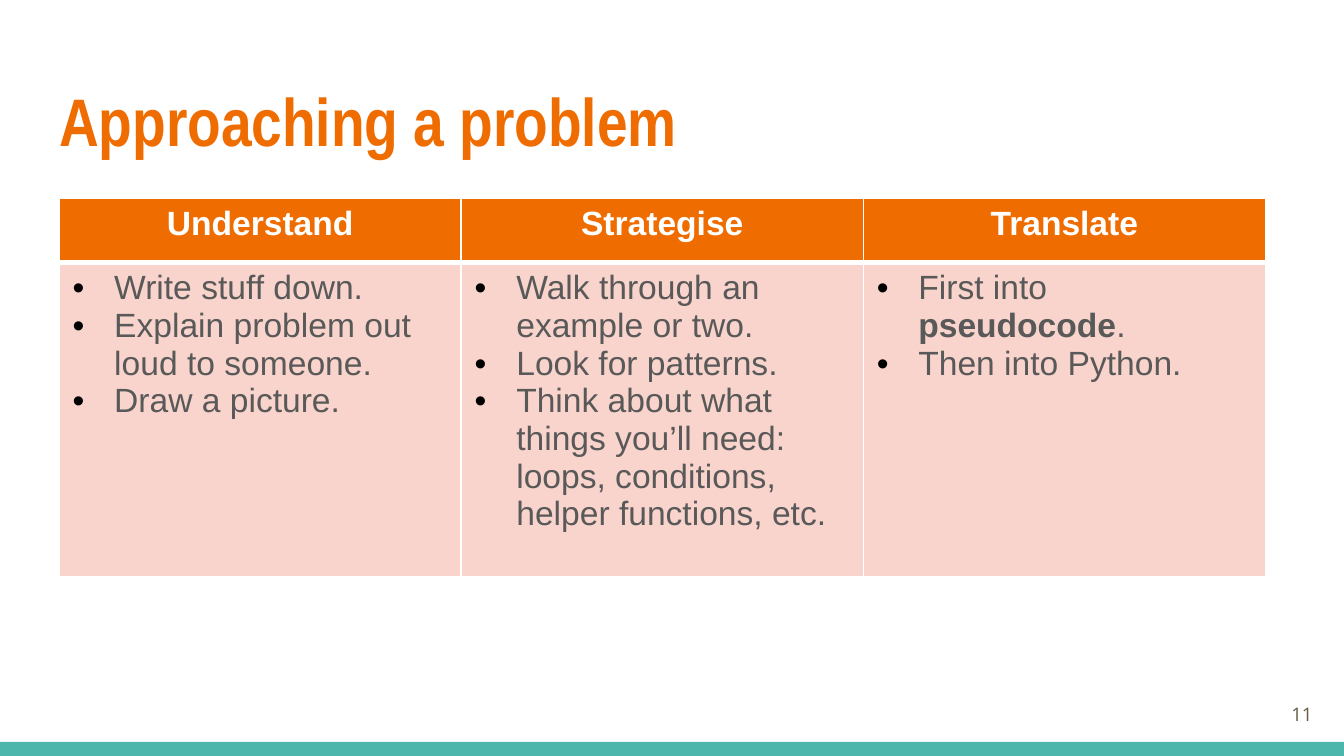
import pptx
import pptx.dml.color
import pptx.enum.shapes
import pptx.enum.text
import pptx.oxml
import pptx.oxml.ns
import pptx.util

COLORS = {"orange": "EF6C00", "teal": "4DB6AC", "pink": "F9D4CC", "white": "FFFFFF",
          "body": "595959", "number": "695D46", "bullet": "000000"}
ALIGN = pptx.enum.text.PP_ALIGN
ANCHOR = pptx.enum.text.MSO_ANCHOR
NAMESPACE = pptx.oxml.ns.nsdecls("a")

deck = pptx.Presentation()
deck.slide_width = pptx.util.Inches(10)
deck.slide_height = deck.slide_width * 9 // 16
page = deck.slides.add_slide(deck.slide_layouts[6])
UNIT = deck.slide_width // 100


def units(*counts):
    return [int(UNIT * count) for count in counts]


def add_span(para, text, color, **formats):
    span = para.add_run()
    span.text = text
    for name, value in formats.items():
        setattr(span.font, name, value)
    span.font.color.rgb = pptx.dml.color.RGBColor.from_string(COLORS[color])


bar = page.shapes.add_shape(pptx.enum.shapes.MSO_SHAPE.RECTANGLE, *units(0, 55.2, 100, 1.05))
bar.shadow.inherit = False
bar.fill.solid()
bar.fill.fore_color.rgb = pptx.dml.color.RGBColor.from_string(COLORS["teal"])
bar.line.fill.background()

labels = [
    ("Approaching a problem", units(3.41, 4.9, 93.2, 7.7), ALIGN.LEFT, ANCHOR.TOP, "orange",
     {"name": "Arial Narrow", "size": pptx.util.Pt(36), "bold": True}),
    ("11", units(92.65, 51, 6, 4.3), ALIGN.RIGHT, ANCHOR.MIDDLE, "number",
     {"name": "Open Sans", "size": pptx.util.Pt(10)}),
]
for text, place, alignment, anchor, color, formats in labels:
    box = page.shapes.add_textbox(*place)
    frame = box.text_frame
    frame.word_wrap = True
    frame.vertical_anchor = anchor
    for side in ("left", "top", "right", "bottom"):
        setattr(frame, f"margin_{side}", UNIT)
    frame.paragraphs[0].alignment = alignment
    add_span(frame.paragraphs[0], text, color, **formats)

steps = {
    "Understand": [["Write stuff down."], ["Explain problem out loud to someone."], ["Draw a picture."]],
    "Strategise": [["Walk through an example or two."], ["Look for patterns."],
                   ["Think about what things you’ll need: loops, conditions, helper functions, etc."]],
    "Translate": [["First into ", "pseudocode", "."], ["Then into Python."]],
}
row_heights = units(4.8, 23.35)
grid = page.shapes.add_table(2, len(steps), *units(4.4, 14.75, 89.76), sum(row_heights)).table
for row, height in zip(grid.rows, row_heights):
    row.height = height

for column, (heading, points) in enumerate(steps.items()):
    for row, fill in enumerate(("orange", "pink")):
        cell = grid.cell(row, column)
        properties = cell._tc.get_or_add_tcPr()
        for side in "LRTB":
            thick = (row, side) in ((0, "B"), (1, "T"))
            properties.append(pptx.oxml.parse_xml(
                f'<a:ln{side} {NAMESPACE} w="{pptx.util.Pt(3 if thick else 1)}"><a:solidFill>'
                f'<a:srgbClr val="{COLORS["white"]}"/></a:solidFill></a:ln{side}>'))
        cell.fill.solid()
        cell.fill.fore_color.rgb = pptx.dml.color.RGBColor.from_string(COLORS[fill])

    para = grid.cell(0, column).text_frame.paragraphs[0]
    para.alignment = ALIGN.CENTER
    add_span(para, heading, "white", name="Arial", size=pptx.util.Pt(18), bold=True)

    frame = grid.cell(1, column).text_frame
    for index, point in enumerate(points):
        para = frame.add_paragraph() if index else frame.paragraphs[0]
        indent = para._p.get_or_add_pPr()
        indent.set("marL", str(pptx.util.Inches(0.31)))
        indent.set("indent", str(pptx.util.Inches(-0.31)))
        for bullet in (f'<a:buClr {NAMESPACE}><a:srgbClr val="{COLORS["bullet"]}"/></a:buClr>',
                       f'<a:buFont {NAMESPACE} typeface="Arial"/>',
                       f'<a:buChar {NAMESPACE} char="•"/>'):
            indent.append(pptx.oxml.parse_xml(bullet))
        for text in point:
            add_span(para, text, "body", name="Arial", size=pptx.util.Pt(18), bold=text == "pseudocode")

deck.save("out.pptx")
